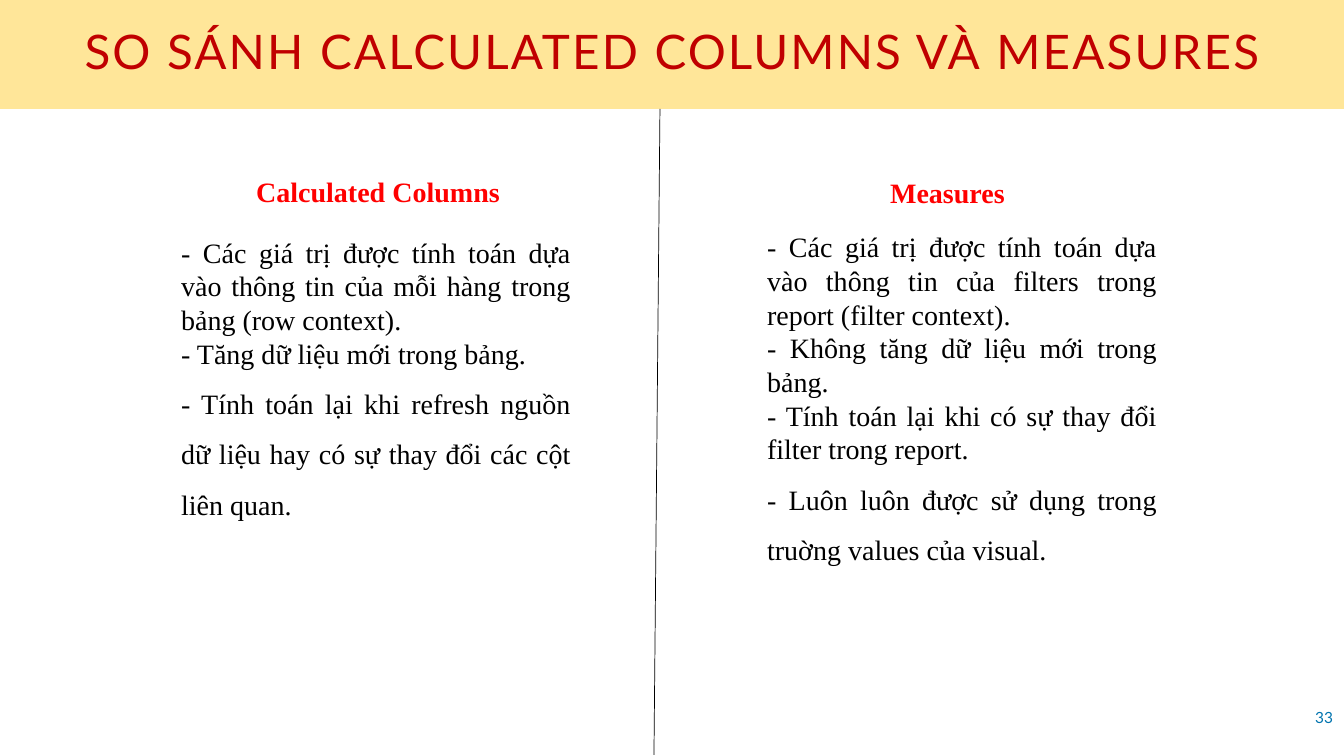
from lxml import etree
from pptx import Presentation
from pptx import util as u
from pptx.dml.color import RGBColor
from pptx.enum import shapes, text
from pptx.oxml.ns import qn

PX = 914400 / 100.8
WIDTH, HEIGHT = 1344, 756
BAND_HEIGHT = 109
SERIF, SANS = "Times New Roman", "Lato"
ALIGN = text.PP_ALIGN

# Heading, heading place, list place, items; the last item is set wider
COLUMNS = [
    ("Calculated Columns", (246, 169, 302, 44), (171, 232, 410, 292), [
        "- Các giá trị được tính toán dựa vào thông tin của mỗi hàng trong bảng (row context).",
        "- Tăng dữ liệu mới trong bảng.",
        "- Tính toán lại khi refresh nguồn dữ liệu hay có sự thay đổi các cột liên quan.",
    ]),
    ("Measures", (880, 170, 302, 44), (757, 226, 410, 344), [
        "- Các giá trị được tính toán dựa vào thông tin của filters trong report (filter context).",
        "- Không tăng dữ liệu mới trong bảng.",
        "- Tính toán lại khi có sự thay đổi filter trong report.",
        "- Luôn luôn được sử dụng trong truờng values của visual.",
    ]),
]


def px(length):
    return u.Emu(round(length * PX))


def color(code):
    return RGBColor.from_string(code)


def place(box, left, top, width, height):
    box.left, box.top, box.width, box.height = map(px, (left, top, width, height))


def write(box, lines, font, size, code, align, bold=False):
    """Fill a box with unbulleted paragraphs in one style."""
    frame = box.text_frame
    frame.text = "\n".join(lines)
    frame.word_wrap = True
    frame.auto_size = text.MSO_AUTO_SIZE.NONE
    frame.vertical_anchor = text.MSO_ANCHOR.MIDDLE
    for para in frame.paragraphs:
        props = para._p.get_or_add_pPr()
        props.set("marL", "0")
        props.set("indent", "0")
        etree.SubElement(props, qn("a:buNone"))
        para.alignment = align
        para.line_spacing = 1.0
        para.space_before = u.Pt(0)
        for span in para.runs:
            span.font.name = font
            span.font.size = u.Pt(size)
            span.font.bold = bold
            span.font.color.rgb = color(code)
    return frame.paragraphs


def add_title(page, wording):
    title = page.shapes.title
    place(title, 0, 0, WIDTH, BAND_HEIGHT)
    title.fill.solid()
    title.fill.fore_color.rgb = color("FFE699")
    para = write(title, [wording], SANS, 34, "C00000", ALIGN.CENTER)[0]
    para.line_spacing = 0.9
    para.runs[0].font._element.set("spc", "160")
    title.text_frame.margin_left = title.text_frame.margin_right = u.Inches(0.5)


def add_column(heading_box, list_box, heading, heading_at, list_at, items):
    place(heading_box, *heading_at)
    write(heading_box, [heading], SERIF, 20, "FF0000", ALIGN.LEFT, bold=True)
    place(list_box, *list_at)
    write(list_box, items, SERIF, 20, "000000", ALIGN.JUSTIFY)[-1].line_spacing = 1.5


def add_divider(page, x1, y1, x2, y2):
    line = page.shapes.add_connector(
        shapes.MSO_CONNECTOR.STRAIGHT, px(x1), px(y1), px(x2), px(y2))
    line.line.color.rgb = color("000000")
    line.line.width = u.Pt(0.5)
    etree.SubElement(line._element.spPr, qn("a:effectLst"))


def add_page_number(page, number):
    box = page.shapes.add_textbox(px(1041), px(697), px(302), px(40))
    write(box, [number], SANS, 11, "0074AF", ALIGN.RIGHT)


def main():
    deck = Presentation()
    deck.slide_width, deck.slide_height = px(WIDTH), px(HEIGHT)
    page = deck.slides.add_slide(deck.slide_layouts.get_by_name("Comparison"))

    # Title band
    add_title(page, "SO SÁNH CALCULATED COLUMNS VÀ\u00a0MEASURES")

    # Two compared columns
    bodies = list(page.placeholders)[1:]
    for heading_box, list_box, column in zip(bodies[::2], bodies[1::2], COLUMNS):
        add_column(heading_box, list_box, *column)

    # Divider and page number
    add_divider(page, 660, BAND_HEIGHT, 654, 755)
    add_page_number(page, "33")

    deck.save("out.pptx")


if __name__ == "__main__":
    main()
